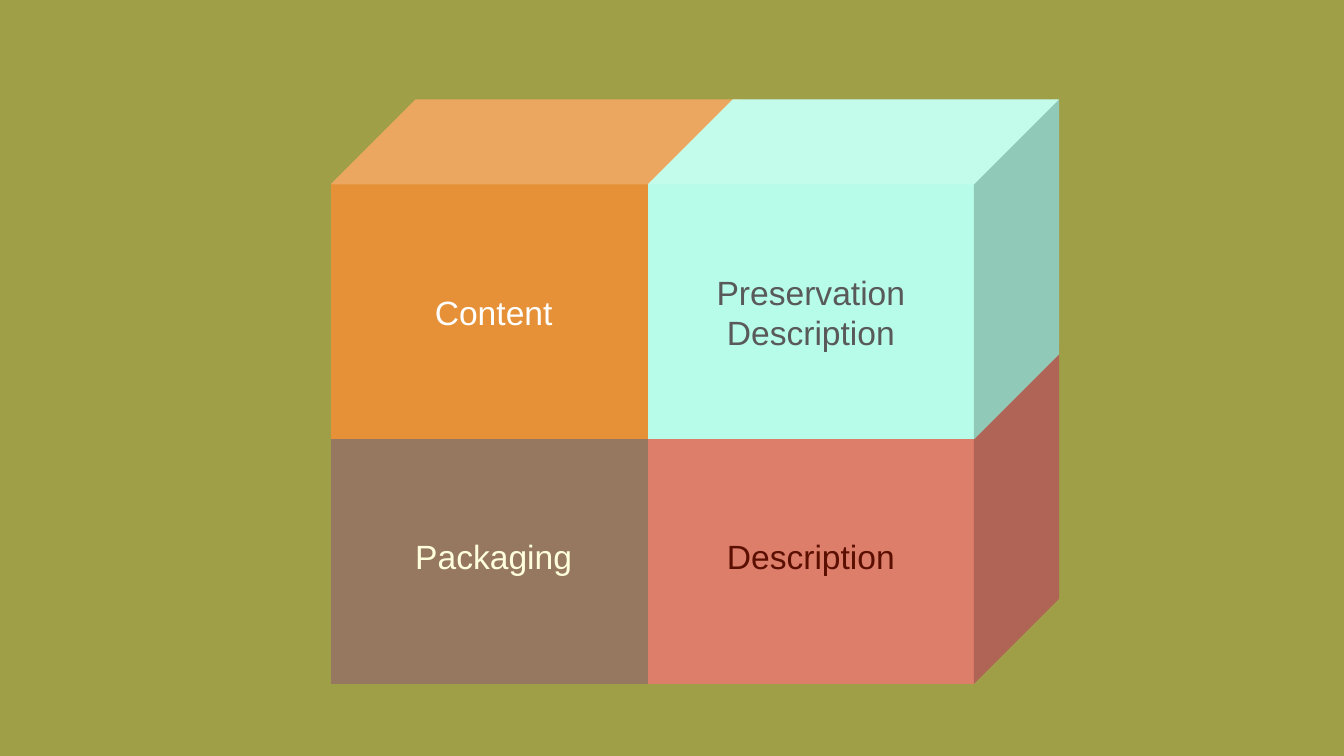
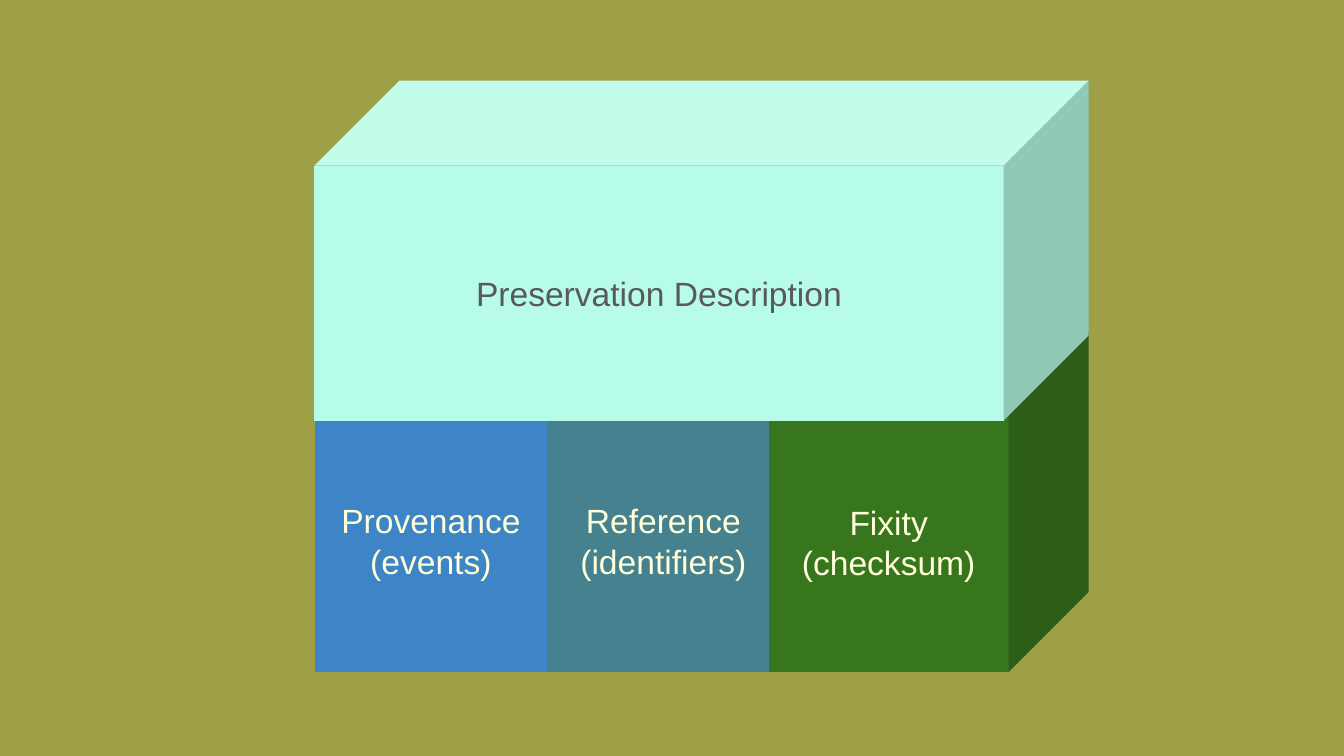
from dataclasses import dataclass

from pptx import Presentation
from pptx.dml.color import RGBColor
from pptx.enum.shapes import MSO_SHAPE
from pptx.enum.text import MSO_ANCHOR, PP_ALIGN
from pptx.presentation import Presentation as Deck
from pptx.slide import Slide
from pptx.util import Inches, Pt

CUBE = MSO_SHAPE.CUBE
MIDDLE = MSO_ANCHOR.MIDDLE
CENTER = PP_ALIGN.CENTER
BLANK_LAYOUT = 6


@dataclass(frozen=True)
class Theme:
    font: str = "Arial"
    label_size: int = 18
    background: str = "9F9F48"
    orange: str = "E69138"
    mint: str = "B6FCE8"
    brown: str = "95785F"
    coral: str = "DD7E6B"
    blue: str = "3D85C6"
    teal: str = "45818E"
    green: str = "38761D"
    white: str = "FFFFFF"
    cream: str = "FFFFDB"
    gray: str = "595959"
    maroon: str = "5B0F00"


THEME = Theme()

# Slide in 16:9, other lengths in inches
SLIDE_WIDTH = Inches(10)
SLIDE_HEIGHT = SLIDE_WIDTH * 9 // 16
CUBE_HEIGHT = 2.53
CUBE_DEPTH = 0.25  # share of the shorter side
INSET = 0.1


@dataclass(frozen=True)
class Block:
    lines: tuple[str, ...]
    left: float
    top: float
    width: float
    fill: str
    color: str = THEME.cream


def add_block(slide: Slide, block: Block) -> None:
    """Draw one labelled cube."""
    shape = slide.shapes.add_shape(
        CUBE, Inches(block.left), Inches(block.top), Inches(block.width), Inches(CUBE_HEIGHT)
    )
    shape.adjustments[0] = CUBE_DEPTH
    shape.shadow.inherit = False
    shape.fill.solid()
    shape.fill.fore_color.rgb = RGBColor.from_string(block.fill)
    shape.line.fill.background()

    frame = shape.text_frame
    frame.word_wrap = True
    frame.vertical_anchor = MIDDLE
    frame.margin_left = frame.margin_right = Inches(INSET)
    frame.margin_top = frame.margin_bottom = Inches(INSET)
    for index, line in enumerate(block.lines):
        paragraph = frame.add_paragraph() if index else frame.paragraphs[0]
        paragraph.text = line
        paragraph.alignment = CENTER
        paragraph.font.name = THEME.font
        paragraph.font.size = Pt(THEME.label_size)
        paragraph.font.color.rgb = RGBColor.from_string(block.color)


def add_stack(presentation: Deck, blocks: list[Block]) -> None:
    """Add a slide with its cubes, from back to front."""
    slide = presentation.slides.add_slide(presentation.slide_layouts[BLANK_LAYOUT])
    for block in blocks:
        add_block(slide, block)


def package_blocks() -> list[Block]:
    """Two by two cubes: the parts of an information package."""
    left, right = 2.46, 4.82
    upper, lower = 0.74, 2.56
    width = 3.06
    return [
        Block(("Packaging",), left, lower, width, THEME.brown),
        Block(("Description",), right, lower, width, THEME.coral, THEME.maroon),
        Block(("Content",), left, upper, width, THEME.orange, THEME.white),
        Block(("Preservation Description",), right, upper, width, THEME.mint, THEME.gray),
    ]


def preservation_blocks() -> list[Block]:
    """Three cubes carrying one wide cube."""
    left, upper, lower = 2.34, 0.6, 2.47
    return [
        Block(("Provenance", "(events)"), left, lower, 2.31, THEME.blue),
        Block(("Reference", "(identifiers)"), 4.07, lower, 2.31, THEME.teal),
        Block(("Fixity", "(checksum)"), 5.72, lower, 2.38, THEME.green),
        Block(("Preservation Description",), left, upper, 5.76, THEME.mint, THEME.gray),
    ]


def main() -> None:
    presentation = Presentation()
    presentation.slide_width = SLIDE_WIDTH
    presentation.slide_height = SLIDE_HEIGHT

    # Shared background
    background = presentation.slide_master.background.fill
    background.solid()
    background.fore_color.rgb = RGBColor.from_string(THEME.background)

    add_stack(presentation, package_blocks())
    add_stack(presentation, preservation_blocks())
    presentation.save("out.pptx")


if __name__ == "__main__":
    main()
